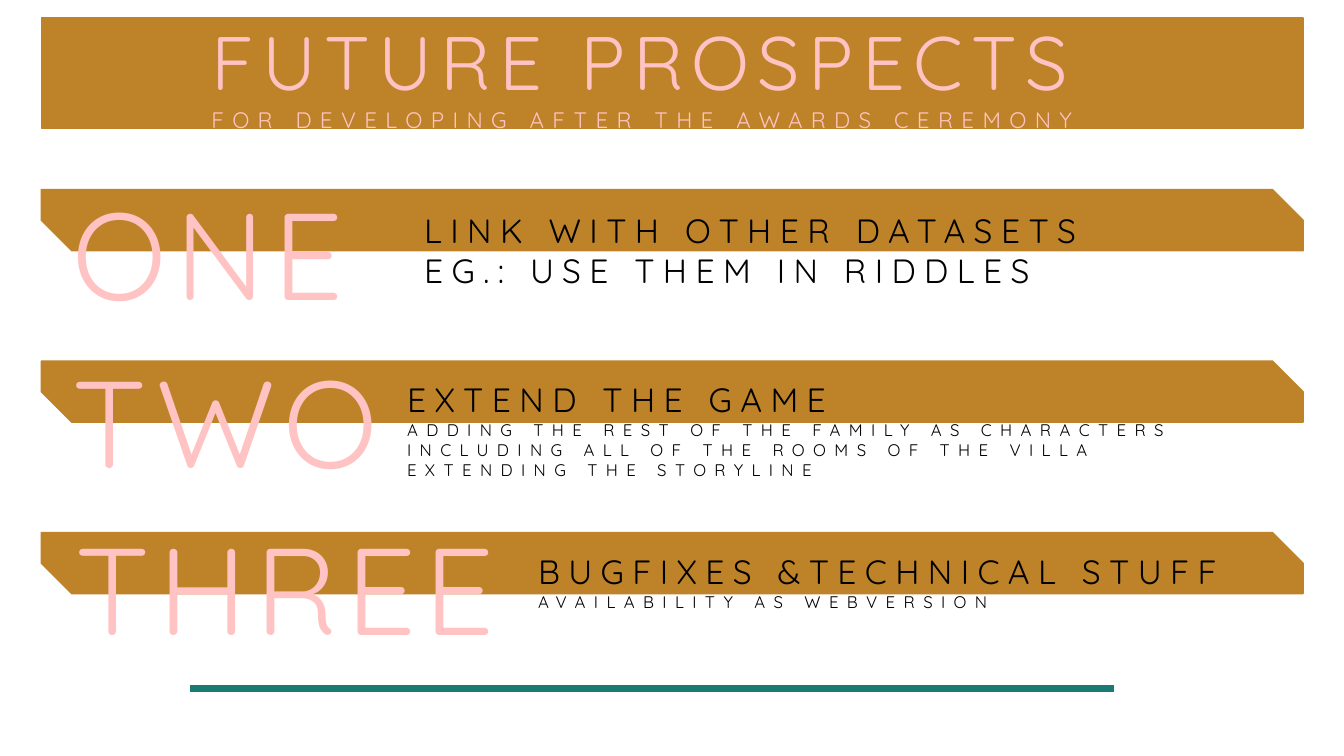
from pptx import Presentation
from pptx.dml.color import RGBColor
from pptx.enum.shapes import MSO_CONNECTOR as Connector, MSO_SHAPE as Preset
from pptx.enum.text import MSO_ANCHOR as Anchor
from pptx.oxml.ns import qn
from pptx.util import Cm, Pt
from lxml.etree import SubElement

COLORS = {"gold": "BE8228", "pink": "FFC3C3", "teal": "1A7B73", "black": "000000"}
FONT = "Quicksand"
BAND_LEFT, BAND_WIDTH = 1.04, 31.8

deck = Presentation()
deck.slide_width, deck.slide_height = Cm(33.87), Cm(19.05)
page = deck.slides.add_slide(deck.slide_layouts[6])


def add_band(preset, top, height):
    band = page.shapes.add_shape(
        preset, Cm(BAND_LEFT), Cm(top), Cm(BAND_WIDTH), Cm(height))
    band.shadow.inherit = False
    band.fill.solid()
    band.fill.fore_color.rgb = RGBColor.from_string(COLORS["gold"])
    band.line.color.rgb = RGBColor.from_string(COLORS["gold"])
    band.line.width = Pt(1)
    return band


def add_text(place, lines, color):
    box = page.shapes.add_textbox(*(Cm(length) for length in place))
    frame = box.text_frame
    frame.word_wrap = True
    frame.vertical_anchor = Anchor.TOP
    frame.margin_left = frame.margin_right = 0
    frame.margin_top = frame.margin_bottom = 0
    for index, (words, size) in enumerate(lines):
        para = frame.add_paragraph() if index else frame.paragraphs[0]
        span = para.add_run()
        span.text = words
        span.font.name = FONT
        span.font.size = Pt(size)
        span.font.color.rgb = RGBColor.from_string(COLORS[color])
        span.font._element.set("spc", "600")  # letter spacing of 6 pt


# Title band
add_band(Preset.RECTANGLE, 0.45, 2.78)
add_text((5.33, 0.38, 24.4, 3),
         [("FUTURE PROSPECTS", 54),
          ("FOR DEVELOPING AFTER THE AWARDS CEREMONY", 16)], "pink")

# Prospects: number, its left and top, then the details and their place
prospects = [
    ("ONE", 1.83, 4.47, (10.69, 5.28, 18.39, 2.06),
     [("LINK WITH OTHER DATASETS EG.: USE THEM IN RIDDLES", 24)]),
    ("TWO", 1.83, 8.69, (10.26, 9.55, 22.15, 2.57),
     [("EXTEND THE GAME", 24),
      ("ADDING THE REST OF THE FAMILY AS CHARACTERS", 12),
      ("INCLUDING ALL OF THE ROOMS OF THE VILLA", 12),
      ("EXTENDING THE STORYLINE", 12)]),
    ("THREE", 1.91, 12.9, (13.56, 13.89, 18.39, 1.55),
     [("BUGFIXES &TECHNICAL STUFF", 24),
      ("AVAILABILITY AS WEBVERSION", 12)]),
]
for row, (number, left, top, place, details) in enumerate(prospects):
    band = add_band(Preset.SNIP_2_DIAG_RECTANGLE, 4.78 + row * 4.32, 1.54)
    band.adjustments[0], band.adjustments[1] = 0, 0.5
    add_text((left, top, 16.89, 3.76), [(number, 88)], "pink")
    add_text(place, details, "black")

# Closing rule
rule = page.shapes.add_connector(
    Connector.STRAIGHT, Cm(4.8), Cm(17.35), Cm(28.07), Cm(17.35))
rule.line.color.rgb = RGBColor.from_string(COLORS["teal"])
rule.line.width = Pt(5)
SubElement(rule._element.spPr, qn("a:effectLst"))

deck.save("out.pptx")
